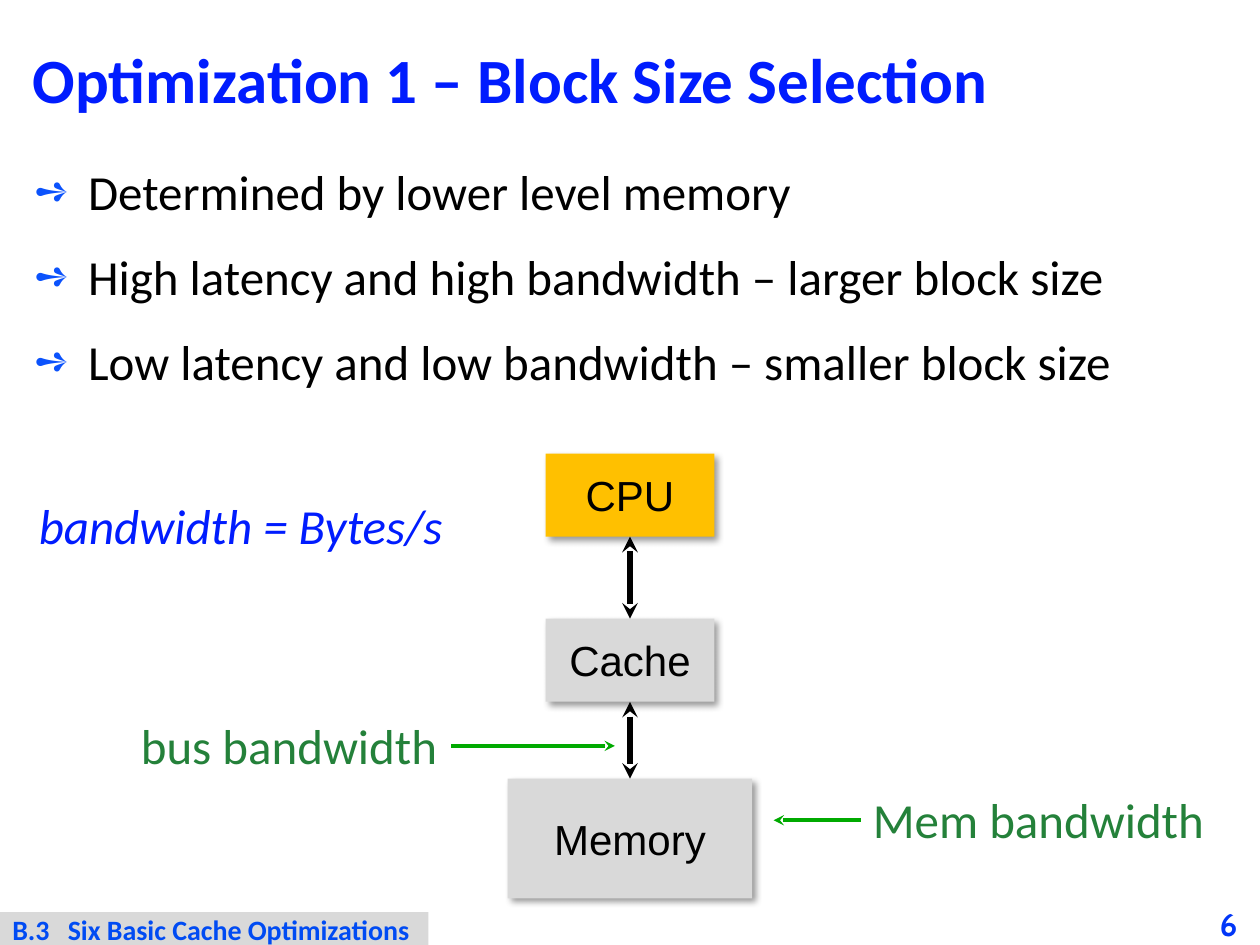
from dataclasses import dataclass
from typing import Optional

from lxml import etree
from pptx import Presentation
from pptx.dml.color import RGBColor
from pptx.enum.shapes import MSO_CONNECTOR, MSO_SHAPE
from pptx.enum.text import MSO_ANCHOR, MSO_AUTO_SIZE, PP_ALIGN
from pptx.oxml.ns import qn
from pptx.util import Pt

RECTANGLE = MSO_SHAPE.RECTANGLE
STRAIGHT = MSO_CONNECTOR.STRAIGHT
MIDDLE, TOP_ANCHOR = MSO_ANCHOR.MIDDLE, MSO_ANCHOR.TOP
LEFT_ALIGN, CENTER = PP_ALIGN.LEFT, PP_ALIGN.CENTER
NO_FIT, GROW = MSO_AUTO_SIZE.NONE, MSO_AUTO_SIZE.SHAPE_TO_FIT_TEXT
TOP, LEFT, BOTTOM, RIGHT = range(4)
EMU_PER_PX = 9144


@dataclass(frozen=True)
class TextStyle:
    font: str
    size: int
    color: str
    bold: bool = False
    italic: bool = False


@dataclass(frozen=True)
class Theme:
    white: str = "FFFFFF"
    grey: str = "D9D9D9"
    amber: str = "FFC000"
    black: str = "000000"
    green: str = "00AA00"
    bullet: str = "0B52FC"
    title: TextStyle = TextStyle("Calibri", 36, "001CFE", bold=True)
    body: TextStyle = TextStyle("Calibri", 28, "000000")
    unit: TextStyle = TextStyle("Calibri", 28, "001CFE", italic=True)
    label: TextStyle = TextStyle("Calibri", 28, "24813A")
    block: TextStyle = TextStyle("Arial", 24, "000000")
    section: TextStyle = TextStyle("Calibri", 16, "004BF3", bold=True)
    number: TextStyle = TextStyle("Cabin", 18, "0136F8", bold=True)


@dataclass(frozen=True)
class Box:
    left: int
    top: int
    width: int
    height: int

    def emu(self) -> tuple:
        return tuple(px(v) for v in (self.left, self.top, self.width, self.height))


@dataclass(frozen=True)
class Block:
    text: str
    box: Box
    fill: str


@dataclass(frozen=True)
class Label:
    text: str
    box: Box
    style: TextStyle
    side: Optional[int] = None
    target: tuple = ()


THEME = Theme()
BULLETS = (
    "Determined by lower level memory",
    "High latency and high bandwidth – larger block size",
    "Low latency and low bandwidth – smaller block size",
)
HIERARCHY = (
    Block("CPU", Box(433, 360, 134, 66), THEME.amber),
    Block("Cache", Box(433, 491, 134, 66), THEME.grey),
    Block("Memory", Box(403, 618, 194, 95), THEME.grey),
)
LABELS = (
    Label("bandwidth = Bytes/s", Box(21, 388, 344, 58), THEME.unit),
    Label("bus bandwidth", Box(102, 563, 256, 58), THEME.label, RIGHT, (488, 592)),
    Label("Mem bandwidth", Box(683, 622, 286, 58), THEME.label, LEFT, (614, 651)),
)


def px(value: int) -> int:
    return value * EMU_PER_PX


def add_xml(parent, tag: str, **attributes):
    values = {name: str(value) for name, value in attributes.items()}
    return etree.SubElement(parent, qn(tag), values)


def place(shape, box: Box) -> None:
    shape.left, shape.top, shape.width, shape.height = box.emu()


def style_paragraph(paragraph, style: TextStyle, align=LEFT_ALIGN) -> None:
    paragraph.alignment = align
    for font in (paragraph.font, *(run.font for run in paragraph.runs)):
        font.name, font.size = style.font, Pt(style.size)
        font.bold, font.italic = style.bold, style.italic
        font.color.rgb = RGBColor.from_string(style.color)


def set_insets(frame, horizontal: int, vertical: int) -> None:
    frame.margin_left = frame.margin_right = px(horizontal)
    frame.margin_top = frame.margin_bottom = px(vertical)


def fill_shape(shape, color: str) -> None:
    shape.fill.solid()
    shape.fill.fore_color.rgb = RGBColor.from_string(color)


def add_rectangle(slide, box: Box, color: str):
    shape = slide.shapes.add_shape(RECTANGLE, *box.emu())
    shape.shadow.inherit = False
    fill_shape(shape, color)
    shape.line.fill.background()
    return shape


def add_block(slide, block: Block):
    shape = add_rectangle(slide, block.box, block.fill)
    effects = shape._element.spPr.find(qn("a:effectLst"))
    shadow = add_xml(effects, "a:outerShdw", blurRad=Pt(4), dist=Pt(3),
                     dir=45 * 60000, algn="tl", rotWithShape=0)
    shade = add_xml(shadow, "a:srgbClr", val=THEME.black)
    add_xml(shade, "a:alpha", val=40000)
    frame = shape.text_frame
    frame.text = block.text
    frame.word_wrap = False
    frame.vertical_anchor = MIDDLE
    style_paragraph(frame.paragraphs[0], THEME.block, CENTER)
    return shape


def add_arrow(slide, source, side: int, end: tuple, color: str, width: int,
              ends: tuple):
    arrow = slide.shapes.add_connector(STRAIGHT, 0, 0, *(px(v) for v in end))
    arrow.begin_connect(source, side)
    arrow.line.color.rgb = RGBColor.from_string(color)
    arrow.line.width = Pt(width)
    line = arrow._element.spPr.find(qn("a:ln"))
    for tag in ends:
        add_xml(line, tag, type="stealth")
    add_xml(arrow._element.spPr, "a:effectLst")
    return arrow


def add_label(slide, label: Label) -> None:
    text_box = slide.shapes.add_textbox(*label.box.emu())
    frame = text_box.text_frame
    frame.text = label.text
    frame.word_wrap = False
    frame.auto_size = GROW
    style_paragraph(frame.paragraphs[0], label.style)
    if label.side is not None:
        add_arrow(slide, text_box, label.side, label.target, THEME.green, 2,
                  ("a:tailEnd",))


def add_title(slide) -> None:
    title = slide.shapes.title
    place(title, Box(16, 16, 968, 101))
    fill_shape(title, THEME.white)
    frame = title.text_frame
    frame.text = "Optimization 1 – Block Size Selection"
    frame.vertical_anchor = MIDDLE
    frame.auto_size = NO_FIT
    frame.paragraphs[0].line_spacing = 0.87
    style_paragraph(frame.paragraphs[0], THEME.title)


def add_bullets(slide) -> None:
    body = slide.placeholders[1]
    place(body, Box(16, 123, 968, 607))
    frame = body.text_frame
    frame.text = "\n".join(BULLETS)
    frame.auto_size = NO_FIT
    for paragraph in frame.paragraphs:
        properties = paragraph._p.get_or_add_pPr()
        properties.set("marL", str(px(44)))
        properties.set("indent", str(px(-43)))
        add_xml(add_xml(properties, "a:buClr"), "a:srgbClr", val=THEME.bullet)
        add_xml(properties, "a:buSzPct", val=85000)
        add_xml(properties, "a:buChar", char="➺")
        paragraph.space_before, paragraph.space_after = Pt(12), Pt(3)
        style_paragraph(paragraph, THEME.body)


def add_footer(slide) -> None:
    number = slide.shapes.add_textbox(*Box(950, 717, 50, 33).emu()).text_frame
    number.text = "6"
    number.word_wrap = True
    number.vertical_anchor = MIDDLE
    set_insets(number, 0, 0)
    style_paragraph(number.paragraphs[0], THEME.number, CENTER)

    section = add_rectangle(slide, Box(0, 724, 340, 26), THEME.grey).text_frame
    section.text = "B.3\tSix Basic Cache Optimizations"
    section.word_wrap = True
    section.vertical_anchor = TOP_ANCHOR
    set_insets(section, 10, 0)
    heading = section.paragraphs[0]
    tabs = add_xml(heading._p.get_or_add_pPr(), "a:tabLst")
    add_xml(tabs, "a:tab", pos=px(44), algn="l")
    style_paragraph(heading, THEME.section)


def main() -> None:
    deck = Presentation()
    deck.slide_width, deck.slide_height = px(1000), px(750)
    slide = deck.slides.add_slide(deck.slide_layouts[1])
    add_title(slide)
    add_bullets(slide)
    add_footer(slide)
    levels = [add_block(slide, block) for block in HIERARCHY]
    for upper, lower in zip(levels, levels[1:]):
        bus = add_arrow(slide, upper, BOTTOM, (0, 0), THEME.black, 3,
                        ("a:headEnd", "a:tailEnd"))
        bus.end_connect(lower, TOP)
    for label in LABELS:
        add_label(slide, label)
    deck.save("out.pptx")


if __name__ == "__main__":
    main()
